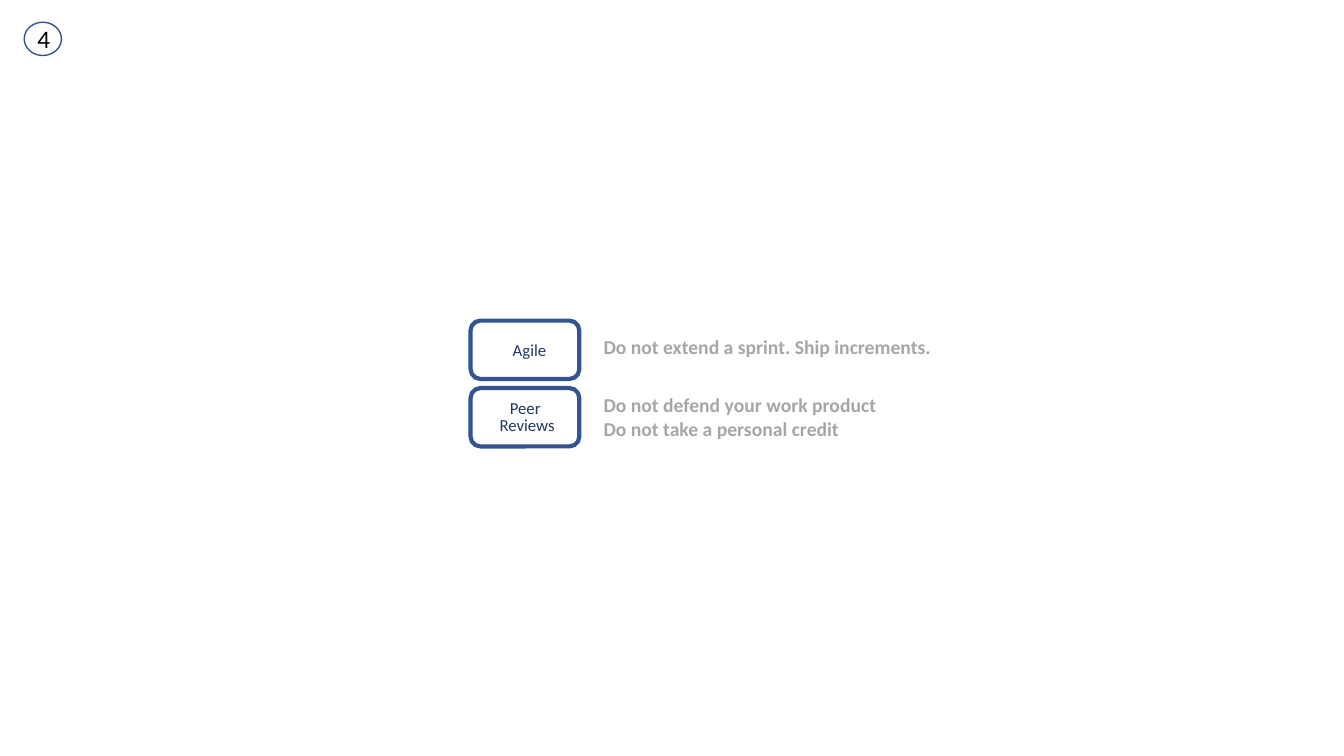
from dataclasses import dataclass

from pptx import Presentation
from pptx.dml.color import RGBColor
from pptx.enum.shapes import MSO_SHAPE
from pptx.enum.text import MSO_AUTO_SIZE, PP_ALIGN
from pptx.util import Cm, Pt

ELLIPSE, ROUNDED = MSO_SHAPE.OVAL, MSO_SHAPE.ROUNDED_RECTANGLE
LEFT, CENTER = PP_ALIGN.LEFT, PP_ALIGN.CENTER
GROW = MSO_AUTO_SIZE.SHAPE_TO_FIT_TEXT

Box = tuple[float, float, float, float]  # left, top, width, height in cm


@dataclass(frozen=True)
class Theme:
    font: str = "Calibri"
    outline: str = "325491"
    label: str = "203864"
    advice: str = "A6A6A6"
    black: str = "000000"
    white: str = "FFFFFF"
    number_size: int = 18
    label_size: int = 12
    advice_size: int = 14


@dataclass(frozen=True)
class Practice:
    label: str
    label_box: Box
    advice: str
    advice_box: Box
    wrap_label: bool


THEME = Theme()
PRACTICES = [
    Practice("Agile", (12.29, 8.51, 2.11, 0.69),
             "Do not extend a sprint. Ship increments.",
             (14.96, 8.31, 8.81, 0.86), True),
    Practice("Peer \nReviews", (12.32, 9.98, 1.93, 1.12),
             "Do not defend your work product\nDo not take a personal credit",
             (14.96, 9.78, 7.42, 1.45), False),
]
FRAME_LEFT, FRAME_TOP, FRAME_PITCH = 11.86, 8.08, 1.7
FRAME_WIDTH, FRAME_HEIGHT = 2.74, 1.47


def add_outline(shapes, kind: MSO_SHAPE, box: Box, width: float,
                fill: str | None = None):
    s = shapes.add_shape(kind, *map(Cm, box))
    s.shadow.inherit = False
    if fill:
        s.fill.solid()
        s.fill.fore_color.rgb = RGBColor.from_string(fill)
    else:
        s.fill.background()
    s.line.color.rgb = RGBColor.from_string(THEME.outline)
    s.line.width = Pt(width)
    return s


def add_text(shapes, text: str, box: Box, *, size: int, color: str,
             bold: bool = False, align: PP_ALIGN = LEFT,
             spacing: int | None = None, wrap: bool = False):
    s = shapes.add_textbox(*map(Cm, box))
    tf = s.text_frame
    tf.word_wrap = wrap
    tf.auto_size = GROW
    for i, line in enumerate(text.split("\n")):
        p = tf.add_paragraph() if i else tf.paragraphs[0]
        p.alignment = align
        if spacing:
            p.line_spacing = Pt(spacing)
        r = p.add_run()
        r.text = line
        r.font.name = THEME.font
        r.font.size = Pt(size)
        r.font.bold = bold
        r.font.color.rgb = RGBColor.from_string(color)
    return s


def add_practice(shapes, practice: Practice, row: int) -> None:
    frame = (FRAME_LEFT, FRAME_TOP + row * FRAME_PITCH, FRAME_WIDTH, FRAME_HEIGHT)
    add_outline(shapes, ROUNDED, frame, 3)
    add_text(shapes, practice.label, practice.label_box, size=THEME.label_size,
             color=THEME.label, align=CENTER, spacing=12, wrap=practice.wrap_label)
    add_text(shapes, practice.advice, practice.advice_box,
             size=THEME.advice_size, color=THEME.advice, bold=True)


def main() -> None:
    prs = Presentation()
    prs.slide_width, prs.slide_height = Cm(33.87), Cm(19.05)
    slide = prs.slides.add_slide(prs.slide_layouts[6])

    # Numbered badge
    badge = slide.shapes.add_group_shape()
    add_outline(badge.shapes, ELLIPSE, (0.61, 0.56, 0.94, 0.84), 1, THEME.white)
    add_text(badge.shapes, "4", (0.69, 0.46, 0.84, 1.02),
             size=THEME.number_size, color=THEME.black)

    # Practices with their advice
    for row, practice in enumerate(PRACTICES):
        add_practice(slide.shapes, practice, row)

    prs.save("out.pptx")


if __name__ == "__main__":
    main()
